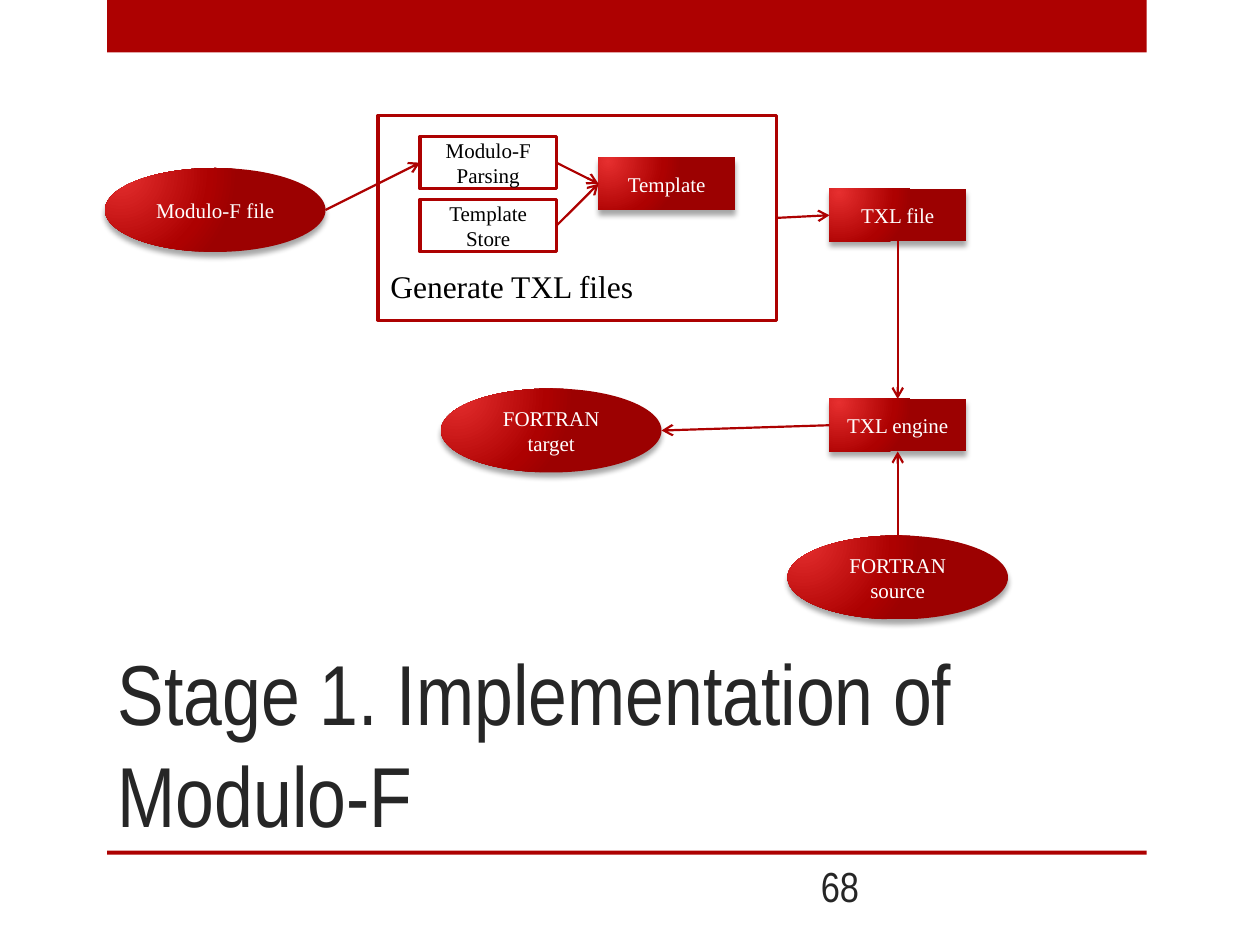
from lxml import etree
from pptx import Presentation
from pptx.dml.color import RGBColor
from pptx.enum.shapes import MSO_CONNECTOR as Connector, MSO_SHAPE as Shape
from pptx.enum.text import MSO_ANCHOR as Anchor, MSO_AUTO_SIZE as AutoSize, PP_ALIGN as Align
from pptx.oxml import parse_xml
from pptx.oxml.ns import qn
from pptx.util import Pt

color = RGBColor.from_string
RED, WHITE, BLACK, DARK = "AD0101", "FFFFFF", "000000", "262626"
NAMESPACE = 'xmlns:a="http://schemas.openxmlformats.org/drawingml/2006/main"'
GRADIENT = f"""<a:gradFill {NAMESPACE} rotWithShape="1"><a:gsLst>
<a:gs pos="0"><a:srgbClr val="E62F2F"/></a:gs>
<a:gs pos="76000"><a:srgbClr val="{RED}"/></a:gs>
<a:gs pos="100000"><a:srgbClr val="9C0101"/></a:gs></a:gsLst>
<a:path path="circle"><a:fillToRect l="15000" t="15000" r="100000" b="100000"/></a:path>
</a:gradFill>"""
SHADOW = f"""<a:outerShdw {NAMESPACE} blurRad="38100" dist="38100" dir="5400000" rotWithShape="0">
<a:srgbClr val="{BLACK}"><a:alpha val="35000"/></a:srgbClr></a:outerShdw>"""


def write(shape, text, size, font_name, text_color, align, **frame_format):
    frame = shape.text_frame
    frame.text = text
    paragraph = frame.paragraphs[0]
    paragraph.alignment = align
    for name, value in {"word_wrap": True, "auto_size": AutoSize.NONE, **frame_format}.items():
        setattr(frame, name, value)
    for name, value in {"size": Pt(size), "name": font_name}.items():
        setattr(paragraph.font, name, value)
    paragraph.font.color.rgb = color(text_color)


def side_point(shape, side):
    across, down = [(0.5, 0), (0, 0.5), (0.5, 1), (1, 0.5)][side]
    return int(shape.left + across * shape.width), int(shape.top + down * shape.height)


presentation = Presentation()
presentation.slide_width, presentation.slide_height = Pt(720), Pt(540)
slide = presentation.slides.add_slide(presentation.slide_layouts[5])
shapes = slide.shapes

# Red bars at the top and under the title
for top, height in [(0, 30), (486, 2.4)]:
    bar = shapes.add_shape(Shape.RECTANGLE, Pt(61.2), Pt(top), Pt(594), Pt(height))
    bar.shadow.inherit = False
    bar.fill.solid()
    bar.fill.fore_color.rgb = color(RED)
    bar.line.fill.background()

# Title and slide number
title = shapes.title
title_place = {"left": 60, "top": 360, "width": 534, "height": 126}
for name, value in title_place.items():
    setattr(title, name, Pt(value))
write(title, "Stage 1. Implementation of Modulo-F", 48.6, "Arial Narrow", DARK, Align.LEFT,
      vertical_anchor=Anchor.BOTTOM)
number = shapes.add_textbox(Pt(438), Pt(492), Pt(60), Pt(28.8))
write(number, "68", 24, "Arial Narrow", DARK, Align.RIGHT, vertical_anchor=Anchor.MIDDLE)

# Diagram nodes: kind, left, top, text
SIZES = {"file": (126, 48), "step": (78, 30), "result": (78, 30), "frame": (228, 117)}
NODES = {
    "generator": ("frame", 216, 66, "Generate TXL files"),
    "modulo": ("file", 60, 96, "Modulo-F file"),
    "parsing": ("step", 240, 78, "Modulo-F Parsing"),
    "store": ("step", 240, 114, "Template Store"),
    "template": ("result", 342, 90, "Template"),
    "txl file": ("result", 474, 108, "TXL file"),
    "engine": ("result", 474, 228, "TXL engine"),
    "source": ("file", 450, 306, "FORTRAN source"),
    "target": ("file", 252, 222, "FORTRAN target"),
}
nodes = {}
for key, (kind, left, top, text) in NODES.items():
    width, height = SIZES[kind]
    outline = Shape.OVAL if kind == "file" else Shape.RECTANGLE
    node = nodes[key] = shapes.add_shape(outline, Pt(left), Pt(top), Pt(width), Pt(height))
    node.shadow.inherit = False
    if kind in ("file", "result"):
        node.line.fill.background()
        properties = node.element.spPr
        properties.find(qn("a:ln")).addprevious(parse_xml(GRADIENT))
        properties.find(qn("a:effectLst")).append(parse_xml(SHADOW))
    else:
        node.line.color.rgb = color(RED)
        node.line.width = Pt(1.75)
    if kind == "step":
        node.fill.solid()
        node.fill.fore_color.rgb = color(WHITE)
    if kind == "frame":
        node.fill.background()
        write(node, text, 18, "Times New Roman", BLACK, Align.LEFT,
              vertical_anchor=Anchor.BOTTOM, margin_bottom=Pt(9))
    else:
        write(node, text, 12, "Times New Roman", BLACK if kind == "step" else WHITE,
              Align.CENTER, vertical_anchor=Anchor.MIDDLE)

# Arrows between sides (0 top, 1 left, 2 bottom, 3 right)
ARROWS = [
    ("store", 3, "template", 1), ("parsing", 3, "template", 1),
    ("modulo", 3, "parsing", 1), ("generator", 3, "txl file", 1),
    ("txl file", 2, "engine", 0), ("source", 0, "engine", 2), ("engine", 1, "target", 3),
]
for start, start_side, end, end_side in ARROWS:
    arrow = shapes.add_connector(Connector.STRAIGHT, *side_point(nodes[start], start_side),
                                 *side_point(nodes[end], end_side))
    if NODES[start][0] != "file":
        arrow.begin_connect(nodes[start], start_side)
    if NODES[end][0] != "file":
        arrow.end_connect(nodes[end], end_side)
    arrow.line.color.rgb = color(RED)
    arrow.line.width = Pt(1.25)
    etree.SubElement(arrow.line._get_or_add_ln(), qn("a:tailEnd"), type="arrow")
    etree.SubElement(arrow.element.spPr, qn("a:effectLst"))

presentation.save("out.pptx")
